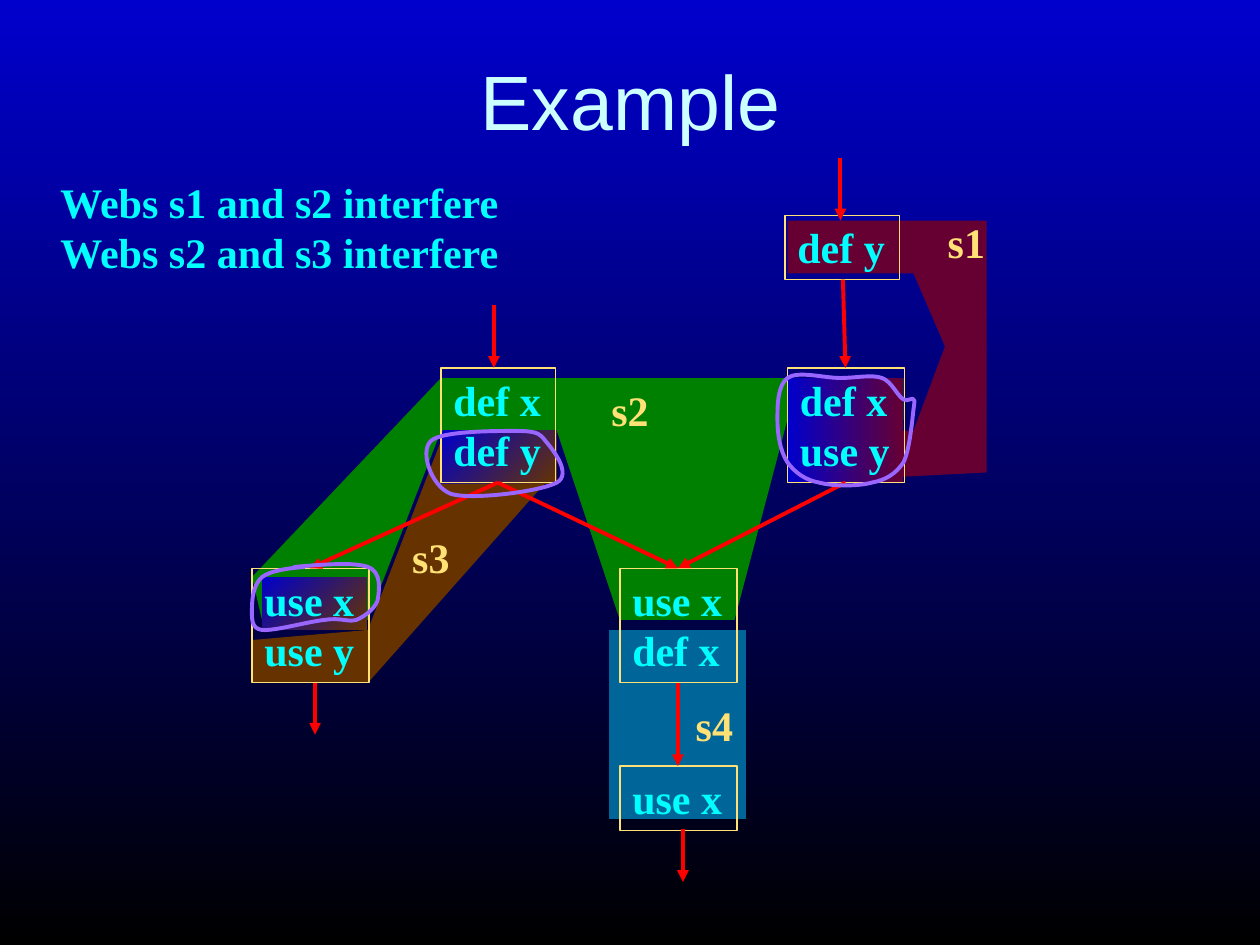
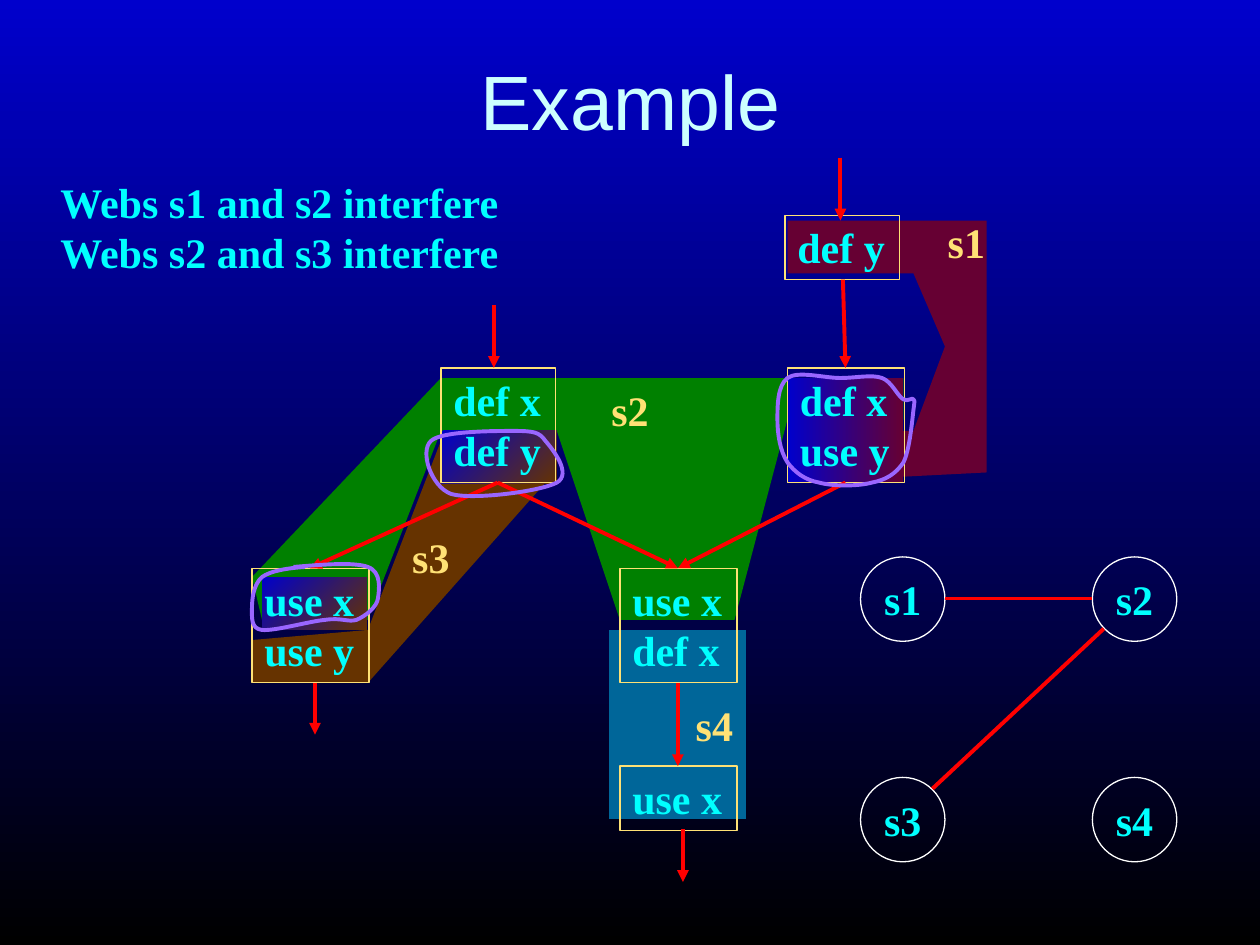
from dataclasses import dataclass
from typing import NamedTuple

from lxml import etree
from pptx import Presentation
from pptx.dml.color import RGBColor
from pptx.enum.shapes import MSO_CONNECTOR, MSO_SHAPE
from pptx.enum.text import MSO_ANCHOR, MSO_AUTO_SIZE, PP_ALIGN
from pptx.oxml.ns import qn
from pptx.util import Cm, Pt

RECT, OVAL = MSO_SHAPE.RECTANGLE, MSO_SHAPE.OVAL
STRAIGHT = MSO_CONNECTOR.STRAIGHT
TOP, MIDDLE = MSO_ANCHOR.TOP, MSO_ANCHOR.MIDDLE
LEFT, CENTER = PP_ALIGN.LEFT, PP_ALIGN.CENTER
FIT, FIXED = MSO_AUTO_SIZE.SHAPE_TO_FIT_TEXT, MSO_AUTO_SIZE.NONE


@dataclass(frozen=True)
class Theme:
    sky: str = "0000CC"
    night: str = "000000"
    title: str = "CCFFFF"
    code: str = "00FFFF"
    gold: str = "FFE175"
    flow: str = "FF0000"
    ring: str = "9966FF"
    node: str = "FFFFFF"
    web1: str = "660033"
    web2: str = "008000"
    web3: str = "663300"
    web4: str = "006699"
    title_font: str = "Arial"
    text_font: str = "Times New Roman"
    title_size: int = 44
    text_size: int = 24
    thin: float = 0.75
    thick: float = 2.25


T = Theme()


class Web(NamedTuple):
    color: str
    points: list


class Patch(NamedTuple):
    x: float
    y: float
    w: float
    h: float
    color: str
    angle: int


class Block(NamedTuple):
    x: float
    y: float
    w: float
    lines: list


class Link(NamedTuple):
    start: tuple
    end: tuple
    arrow: bool = True


class Label(NamedTuple):
    text: str
    x: float
    y: float


class Ring(NamedTuple):
    points: list
    closed: bool = True


WEBS = [
    Web(T.web1, [(7.25, 1.75), (6.25, 1.75), (6.25, 2.17), (7.25, 2.17), (7.5, 2.75),
                 (7.25, 3.42), (6.25, 3.42), (6.25, 3.83), (7.83, 3.75), (7.83, 1.75)]),
    Web(T.web2, [(5.83, 4.92), (6.25, 3.33), (7.17, 3.33), (7.17, 3), (3.5, 3), (2, 4.58),
                 (2.08, 4.92), (2.92, 4.92), (3.5, 3.42), (4.42, 3.42), (4.92, 4.92)]),
    Web(T.web3, [(2, 5.08), (2, 5.42), (2.92, 5.42), (4.33, 3.83), (4.33, 3.42),
                 (3.5, 3.5), (2.92, 5)]),
    Web(T.web4, [(4.83, 5), (5.92, 5), (5.92, 6.5), (4.83, 6.5)]),
]
PATCHES = [
    Patch(6.25, 3, 0.92, 0.83, T.web1, 0),
    Patch(3.5, 3.42, 0.92, 0.42, T.web3, 45),
    Patch(2.08, 4.58, 0.83, 0.42, T.web3, 45),
]
BLOCKS = [
    Block(6.23, 1.71, 0.91, ["def y"]),
    Block(6.25, 2.92, 0.93, ["def x", "use y"]),
    Block(3.5, 2.92, 0.91, ["def x", "def y"]),
    Block(2, 4.51, 0.93, ["use x", "use y"]),
    Block(4.92, 4.51, 0.93, ["use x", "def x"]),
    Block(4.92, 6.08, 0.93, ["use x"]),
]
FLOWS = [
    Link((3.92, 2.42), (3.92, 2.92)),
    Link((6.67, 1.25), (6.67, 1.75)),
    Link((6.69, 2.22), (6.71, 2.92)),
    Link((6.71, 3.83), (5.38, 4.51)),
    Link((3.95, 3.83), (5.38, 4.51)),
    Link((3.95, 3.83), (2.46, 4.51)),
    Link((5.38, 5.42), (5.38, 6.08)),
    Link((5.42, 6.58), (5.42, 7)),
    Link((2.5, 5.42), (2.5, 5.83)),
]
LABELS = [Label("s1", 7.42, 1.67), Label("s2", 4.75, 3),
          Label("s3", 3.17, 4.17), Label("s4", 5.42, 5.5)]
RINGS = [
    Ring([(4.33, 3.5), (4.39, 3.57), (4.54, 3.76), (4.42, 3.83), (4.29, 3.9), (3.75, 3.97),
          (3.58, 3.92), (3.42, 3.86), (3.33, 3.58), (3.42, 3.5), (3.5, 3.42), (3.93, 3.42),
          (4.08, 3.42), (4.24, 3.42), (4.28, 3.43), (4.33, 3.5)]),
    Ring([(2.42, 4.5), (2.28, 4.51), (2.15, 4.53), (2.08, 4.58), (2.01, 4.64), (2, 4.76),
          (2, 4.83), (2, 4.9), (1.99, 4.99), (2.08, 5), (2.18, 5.01), (2.46, 4.93),
          (2.58, 4.92), (2.71, 4.9), (2.76, 4.94), (2.83, 4.92), (2.9, 4.89), (2.99, 4.82),
          (3, 4.75), (3.01, 4.68), (3.03, 4.54), (2.92, 4.5), (2.81, 4.46), (2.57, 4.48),
          (2.33, 4.5)], closed=False),
    Ring([(7.25, 3.17), (7.24, 3.15), (7.21, 3.19), (7.17, 3.17), (7.12, 3.14), (7.08, 3.03),
          (7, 3), (6.92, 2.97), (6.79, 3), (6.67, 3), (6.54, 3), (6.33, 2.94), (6.25, 3),
          (6.17, 3.06), (6.17, 3.22), (6.17, 3.33), (6.17, 3.44), (6.19, 3.58), (6.25, 3.67),
          (6.31, 3.75), (6.39, 3.81), (6.5, 3.83), (6.61, 3.86), (6.81, 3.86), (6.92, 3.83),
          (7.03, 3.81), (7.11, 3.76), (7.17, 3.67), (7.22, 3.57), (7.24, 3.33), (7.25, 3.25),
          (7.26, 3.17), (7.26, 3.18), (7.25, 3.17)]),
]
FINDINGS = ["Webs s1 and s2 interfere", "Webs s2 and s3 interfere"]
NODE_X, NODE_Y, NODE_SIZE = (6.83, 8.67), (4.42, 6.17), 0.67
INTERFERENCES = [Link((7.5, 4.75), (8.67, 4.75), False),
                 Link((7.4, 6.26), (8.76, 4.99), False)]


def inch(v: float) -> Cm:
    return Cm(v * 2.54)


def rgb(color: str) -> RGBColor:
    return RGBColor.from_string(color)


def fill_gradient(fill, start: str, end: str, angle: int) -> None:
    fill.gradient()
    fill.gradient_angle = (360 - angle) % 360
    for stop, color in zip(fill.gradient_stops, (start, end)):
        stop.color.rgb = rgb(color)


def paint(sp, fill: str = "", line: str = "", width: float = T.thin) -> None:
    sp.shadow.inherit = False
    if fill:
        sp.fill.solid()
        sp.fill.fore_color.rgb = rgb(fill)
    else:
        sp.fill.background()
    if line:
        sp.line.color.rgb = rgb(line)
        sp.line.width = Pt(width)
    else:
        sp.line.fill.background()


def place(sp, x: float, y: float, w: float, h: float) -> None:
    sp.left, sp.top, sp.width, sp.height = map(inch, (x, y, w, h))


def write(sp, lines: list, *, color: str = T.code, font: str = T.text_font,
          size: int = T.text_size, bold: bool = True, align=CENTER, anchor=MIDDLE,
          wrap: bool = False, fit=FIT) -> None:
    tf = sp.text_frame
    tf.word_wrap, tf.auto_size, tf.vertical_anchor = wrap, fit, anchor
    for i, text in enumerate(lines):
        p = tf.add_paragraph() if i else tf.paragraphs[0]
        p.alignment, p.space_before = align, Pt(0)
        r = p.add_run()
        r.text = text
        r.font.name, r.font.size, r.font.bold = font, Pt(size), bold
        r.font.color.rgb = rgb(color)


def add_preset(slide, preset, x: float, y: float, w: float, h: float):
    return slide.shapes.add_shape(preset, *map(inch, (x, y, w, h)))


def add_outline(slide, points: list, closed: bool = True):
    start, *rest = [(inch(x), inch(y)) for x, y in points]
    builder = slide.shapes.build_freeform(*start, scale=1.0)
    builder.add_line_segments(rest, close=closed)
    return builder.convert_to_shape()


def add_ring(slide, ring: Ring) -> None:
    sp = add_outline(slide, ring.points, ring.closed)
    segments = list(sp._element.iter(qn("a:lnTo")))
    for i in range(0, len(segments), 3):
        curve, *others = segments[i:i + 3]
        curve.tag = qn("a:cubicBezTo")
        for segment in others:
            curve.append(segment[0])
            segment.getparent().remove(segment)
    paint(sp, line=T.ring, width=T.thick)


def add_link(slide, link: Link) -> None:
    ends = map(inch, (*link.start, *link.end))
    cx = slide.shapes.add_connector(STRAIGHT, *ends)
    cx.line.color.rgb = rgb(T.flow)
    cx.line.width = Pt(T.thick)
    sp_pr = cx._element.spPr
    if link.arrow:
        etree.SubElement(sp_pr.find(qn("a:ln")), qn("a:tailEnd"), type="triangle")
    etree.SubElement(sp_pr, qn("a:effectLst"))


def add_block(slide, block: Block) -> None:
    sp = add_preset(slide, RECT, block.x, block.y, block.w, 0.11 + 0.4 * len(block.lines))
    paint(sp, line=T.gold)
    write(sp, block.lines, align=LEFT, anchor=TOP)


def add_label(slide, label: Label) -> None:
    sp = slide.shapes.add_textbox(*map(inch, (label.x, label.y, 0.5, 0.5)))
    write(sp, [label.text], color=T.gold)


def add_text(slide) -> None:
    title, body = slide.placeholders
    place(title, 0.42, 0.17, 9.17, 1.25)
    write(title, ["Example"], color=T.title, font=T.title_font, size=T.title_size,
          bold=False, wrap=True, fit=FIXED)
    place(body, 0.38, 1.35, 3.7, 0.9)
    write(body, FINDINGS, align=LEFT)
    for p in body.text_frame.paragraphs:
        p_pr = p._p.get_or_add_pPr()
        p_pr.set("marL", "0")
        p_pr.set("indent", "0")
        etree.SubElement(p_pr, qn("a:buNone"))


def add_flow_slide(prs):
    slide = prs.slides.add_slide(prs.slide_layouts.get_by_name("Title and Content"))
    add_text(slide)
    for web in WEBS:
        paint(add_outline(slide, web.points), fill=web.color)
    for patch in PATCHES:
        sp = add_preset(slide, RECT, *patch[:4])
        paint(sp)
        fill_gradient(sp.fill, T.sky, patch.color, patch.angle)
    for draw, items in ((add_block, BLOCKS), (add_link, FLOWS),
                        (add_label, LABELS), (add_ring, RINGS)):
        for item in items:
            draw(slide, item)
    return slide


def add_interference_graph(slide) -> None:
    cells = [(x, y) for y in NODE_Y for x in NODE_X]
    for i, (x, y) in enumerate(cells, 1):
        sp = add_preset(slide, OVAL, x, y, NODE_SIZE, NODE_SIZE)
        paint(sp, line=T.node)
        write(sp, [f"s{i}"], fit=FIXED)
    for link in INTERFERENCES:
        add_link(slide, link)


def main() -> None:
    prs = Presentation()
    prs.slide_width, prs.slide_height = Cm(25.4), Cm(19.05)
    fill_gradient(prs.slide_master.background.fill, T.sky, T.night, 90)
    add_flow_slide(prs)
    add_interference_graph(add_flow_slide(prs))
    prs.save("out.pptx")


if __name__ == "__main__":
    main()
